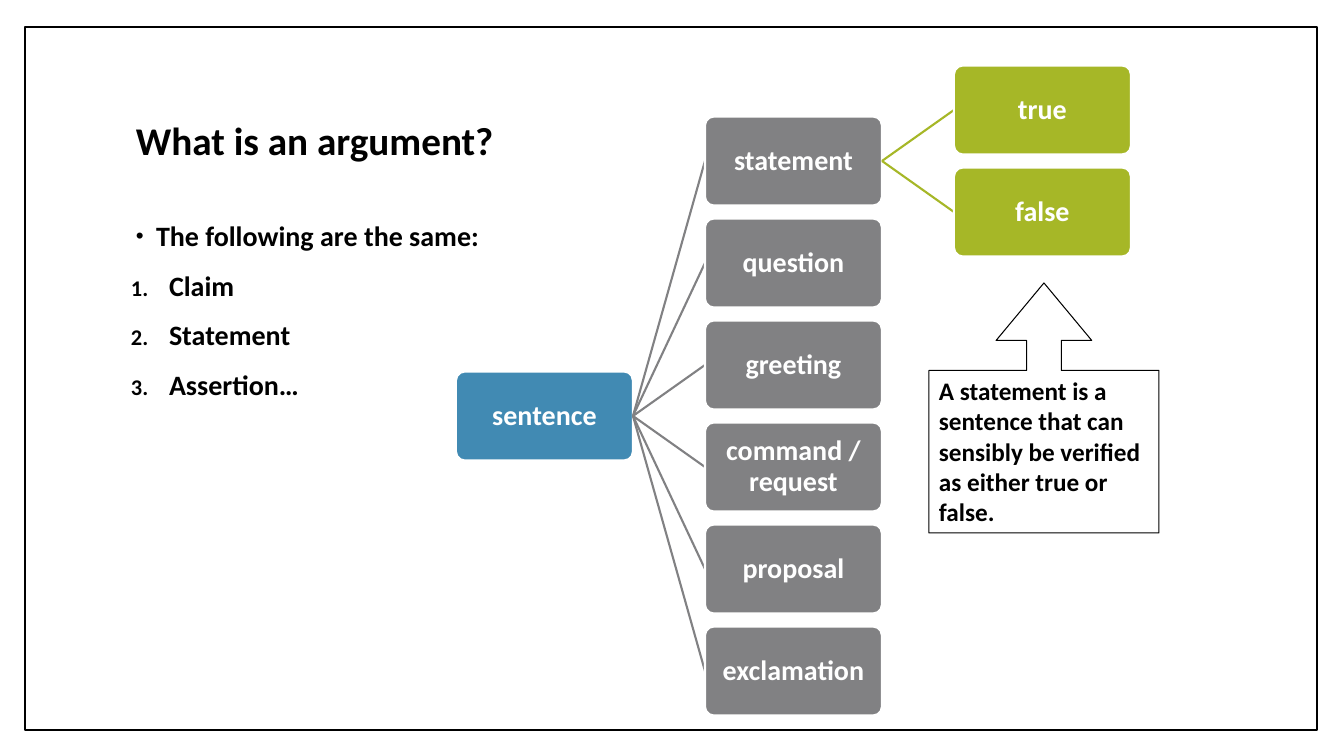
"""Build the slide that sorts sentences and defines a statement."""
from lxml.etree import SubElement
from pptx import Presentation
from pptx.dml.color import RGBColor
from pptx.enum.shapes import MSO_CONNECTOR, MSO_SHAPE
from pptx.enum.text import MSO_ANCHOR, PP_ALIGN
from pptx.oxml.ns import qn
from pptx.util import Pt

TITLE = "What is an argument?"
INTRO = "The following are the same:"
SYNONYMS = ["Claim", "Statement", "Assertion…"]
TREE = ("sentence", [
    ("statement", [("true", []), ("false", [])]),
    ("question", []),
    ("greeting", []),
    ("command / request", []),
    ("proposal", []),
    ("exclamation", []),
])
DEFINITION = "A statement is a sentence that can sensibly be verified as either true or false."

THEME = {
    "font": "Calibri",
    "ink": "000000",
    "paper": "FFFFFF",
    "levels": ["418AB3", "818183", "A6B727"],
    "title": 28,
    "body": 20,
    "callout": 18,
}
SLIDE = (1344, 756)
FRAME = (25, 27, 1292, 703)
TITLE_BOX = (126, 68, 1089, 149)
LIST_BOX = (121, 217, 420, 249)
CALLOUT_BOX = (929, 283, 230, 250)
CALLOUT_ADJUSTMENTS = (0.151, 0.208, 0.25, 0.65)
NODE_WIDTH, NODE_HEIGHT = 177, 89
ROOT_LEFT, ROOT_MIDDLE = 456, 416
COLUMN_PITCH, ROW_PITCH = 249, 102


def px(length):
    """Turn pixels into EMU."""
    return round(length * 914400 / 100.8)


def color(code):
    """Turn a hex code into a colour."""
    return RGBColor.from_string(code)


def add_bullet(paragraph, tag, indent, hanging, **attributes):
    """Give a paragraph a bullet or number with a hanging indent."""
    properties = paragraph._p.get_or_add_pPr()
    properties.set("marL", str(px(indent)))
    properties.set("indent", str(-px(hanging)))
    SubElement(properties, qn("a:buSzPct"), val="80000")
    if tag == "a:buChar":
        SubElement(properties, qn("a:buFont"), typeface="Arial")
    SubElement(properties, qn(tag), **attributes)


def write(shape, *lines, size, ink=THEME["ink"], align=PP_ALIGN.LEFT,
          anchor=MSO_ANCHOR.TOP, spacing=0.9, before=0, margins=(10, 5)):
    """Write bold lines into a shape and return its paragraphs."""
    frame = shape.text_frame
    frame.word_wrap = True
    frame.vertical_anchor = anchor
    frame.margin_left = frame.margin_right = px(margins[0])
    frame.margin_top = frame.margin_bottom = px(margins[1])
    frame.text = "\n".join(lines)
    for paragraph in frame.paragraphs:
        paragraph.alignment = align
        paragraph.line_spacing = spacing
        paragraph.space_before = Pt(before)
        font = paragraph.runs[0].font
        font.name, font.size, font.bold = THEME["font"], Pt(size), True
        font.color.rgb = color(ink)
    return frame.paragraphs


def add_box(shapes, kind, box, fill, line, width):
    """Add a flat preset shape."""
    shape = shapes.add_shape(kind, *map(px, box))
    shape.shadow.inherit = False
    if fill:
        shape.fill.solid()
        shape.fill.fore_color.rgb = color(fill)
    else:
        shape.fill.background()
    shape.line.color.rgb = color(line)
    shape.line.width = Pt(width)
    return shape


def add_branch(shapes, start, end, ink):
    """Join a parent's right edge to a child's left edge."""
    branch = shapes.add_connector(MSO_CONNECTOR.STRAIGHT, *map(px, start + end))
    branch.line.color.rgb = color(ink)
    branch.line.width = Pt(1.5)
    SubElement(branch._element.spPr, qn("a:effectLst"))


def add_tree(shapes, tree, level=0, middle=ROOT_MIDDLE):
    """Draw a node, then its children centred on it in the next column."""
    label, children = tree
    left = ROOT_LEFT + level * COLUMN_PITCH
    box = (left, middle - NODE_HEIGHT / 2, NODE_WIDTH, NODE_HEIGHT)
    node = add_box(shapes, MSO_SHAPE.ROUNDED_RECTANGLE, box,
                   THEME["levels"][level], THEME["paper"], 1.5)
    node.adjustments[0] = 0.1
    write(node, label, size=THEME["body"], ink=THEME["paper"],
          align=PP_ALIGN.CENTER, anchor=MSO_ANCHOR.MIDDLE, margins=(1, 1))
    for row, child in enumerate(children):
        child_middle = middle + (row - (len(children) - 1) / 2) * ROW_PITCH
        add_branch(shapes, (left + NODE_WIDTH, middle),
                   (left + COLUMN_PITCH, child_middle), THEME["levels"][level + 1])
        add_tree(shapes, child, level + 1, child_middle)


deck = Presentation()
deck.slide_width, deck.slide_height = map(px, SLIDE)
shapes = deck.slides.add_slide(deck.slide_layouts[6]).shapes

add_box(shapes, MSO_SHAPE.RECTANGLE, FRAME, THEME["paper"], THEME["ink"], 1)
write(shapes.add_textbox(*map(px, TITLE_BOX)), TITLE,
      size=THEME["title"], anchor=MSO_ANCHOR.MIDDLE)

intro, *synonyms = write(shapes.add_textbox(*map(px, LIST_BOX)), INTRO, *SYNONYMS,
                         size=THEME["body"], before=14)
add_bullet(intro, "a:buChar", 25, 20, char="•")
for synonym in synonyms:
    add_bullet(synonym, "a:buAutoNum", 38, 38, type="arabicPeriod")

add_tree(shapes, TREE)

callout = add_box(shapes, MSO_SHAPE.UP_ARROW_CALLOUT, CALLOUT_BOX,
                  None, THEME["ink"], 0.75)
for index, adjustment in enumerate(CALLOUT_ADJUSTMENTS):
    callout.adjustments[index] = adjustment
write(callout, DEFINITION, size=THEME["callout"], spacing=1.0)

deck.save("out.pptx")
